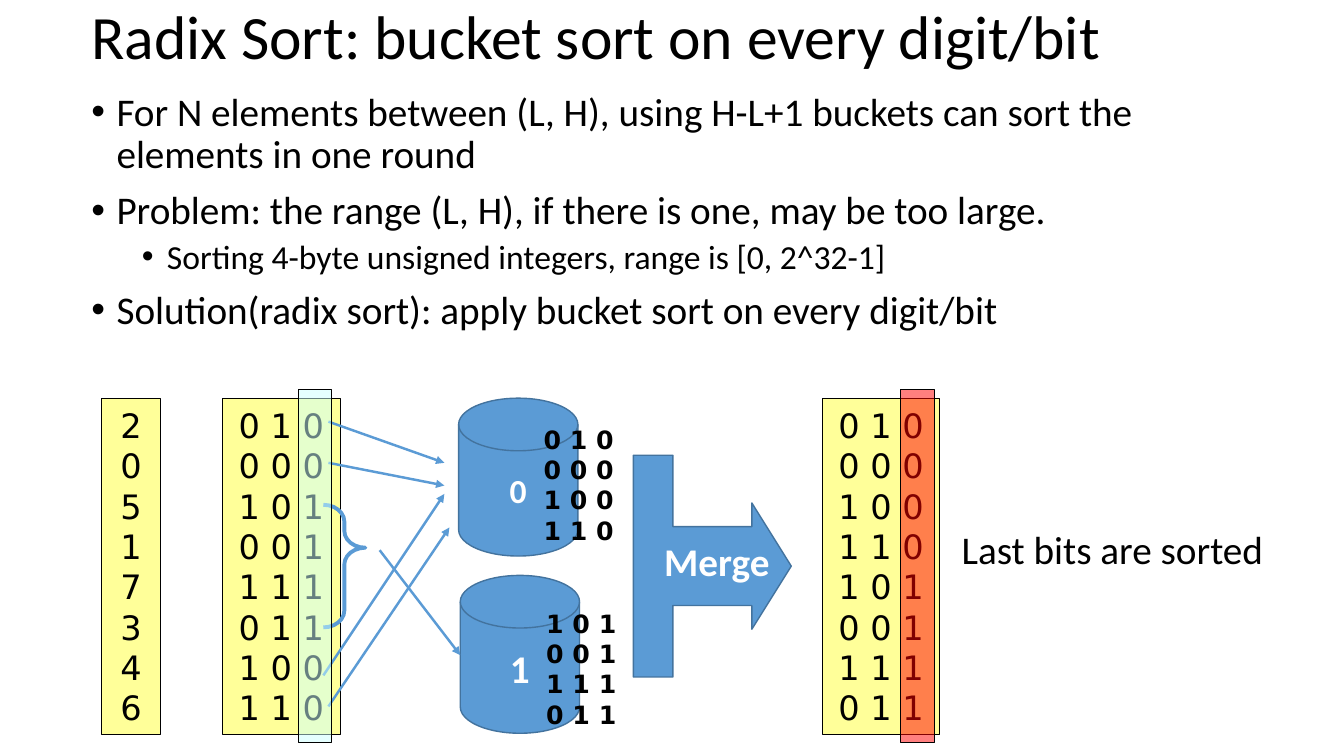
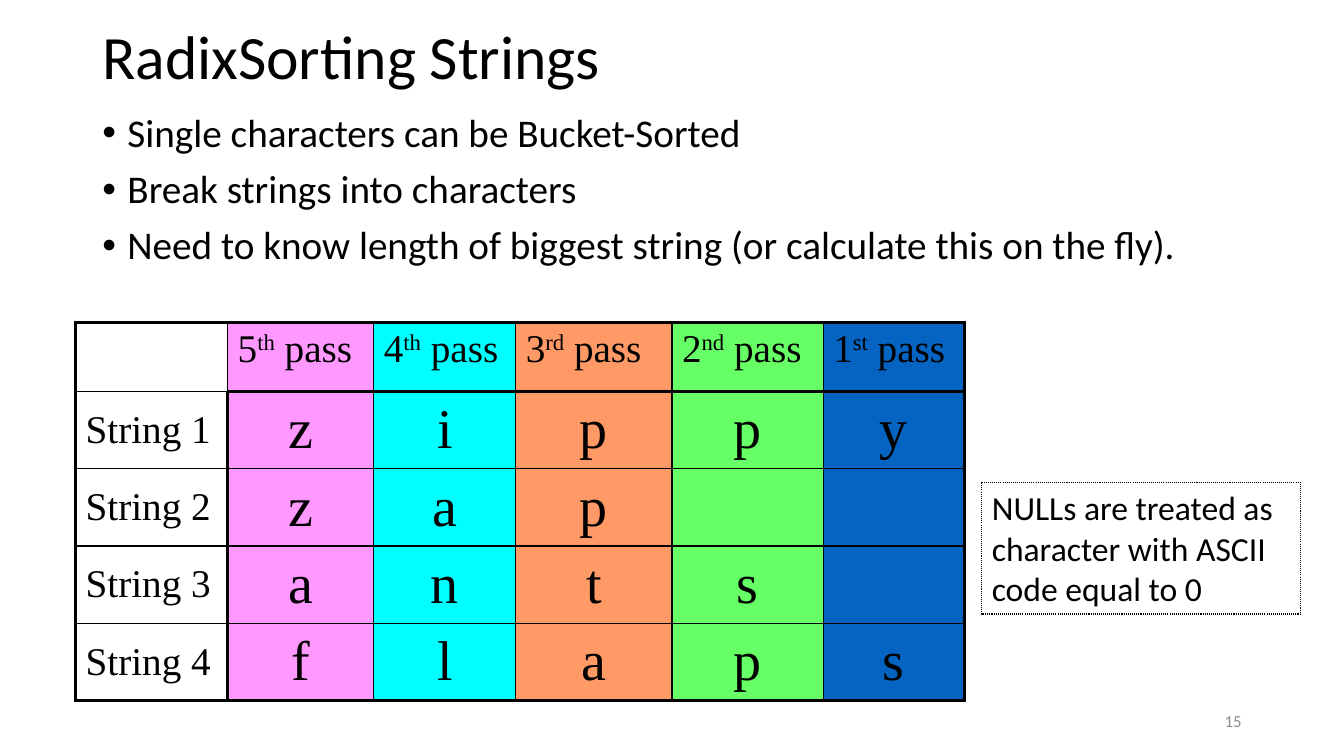
from lxml.etree import SubElement
from pptx import Presentation
from pptx.dml.color import RGBColor
from pptx.enum.dml import MSO_LINE
from pptx.enum.shapes import MSO_CONNECTOR, MSO_SHAPE
from pptx.enum.text import MSO_ANCHOR, PP_ALIGN
from pptx.oxml.ns import qn
from pptx.util import Inches, Pt

# Shared look: a grid of 160 columns by 90 rows on a 13.33 x 7.5 inch slide
COLS, ROWS = 160, 90
CELL = Inches(7.5) / ROWS
SANS, MONO, SERIF = "Calibri", "DejaVu Sans", "Times New Roman"
BLACK, WHITE, GREY = "000000", "FFFFFF", "8C8C8C"
BLUE, DARK_BLUE, YELLOW = "5B9BD5", "43739E", "FFFF99"
CENTER, RIGHT, MIDDLE = PP_ALIGN.CENTER, PP_ALIGN.RIGHT, MSO_ANCHOR.MIDDLE


def rgb(color):
    return RGBColor.from_string(color)


def grid(*cells):
    return [round(c * CELL) for c in cells]


def style(p, size, font=SANS, color=BLACK, bold=False, align=None):
    p.alignment = align
    for r in p.runs:
        r.font.size, r.font.name, r.font.bold = Pt(size), font, bold
        r.font.color.rgb = rgb(color)


def write(tf, text, size, anchor=MSO_ANCHOR.TOP, wrap=True, **look):
    tf.text, tf.word_wrap, tf.vertical_anchor = text, wrap, anchor
    for p in tf.paragraphs:
        style(p, size, **look)


def text_box(s, at, text, size, **look):
    sp = s.shapes.add_textbox(*grid(*at))
    write(sp.text_frame, text, size, **look)
    return sp


def shape(s, kind, at, fill=None, line=BLACK, width=0.75, alpha=None, adj=()):
    sp = s.shapes.add_shape(kind, *grid(*at))
    sp.shadow.inherit = False
    for i, value in enumerate(adj):
        sp.adjustments[i] = value
    if fill:
        sp.fill.solid()
        sp.fill.fore_color.rgb = rgb(fill)
    else:
        sp.fill.background()
    if alpha:
        clr = sp.fill._xPr.find(qn("a:solidFill"))[0]
        SubElement(clr, qn("a:alpha"), val=str(alpha * 1000))
    sp.line.color.rgb, sp.line.width = rgb(line), Pt(width)
    return sp


def arrow(s, start, end):
    c = s.shapes.add_connector(MSO_CONNECTOR.STRAIGHT, *grid(*start, *end))
    c.line.color.rgb, c.line.width = rgb(BLUE), Pt(1.75)
    SubElement(c.line._get_or_add_ln(), qn("a:tailEnd"), type="triangle")
    SubElement(c._element.spPr, qn("a:effectLst"))


def title(s, at, text):
    sp = text_box(s, at, text, 44, anchor=MIDDLE)
    sp.text_frame.paragraphs[0].line_spacing = 0.9


def bullets(s, at, items):
    """Each item is a (level, text) pair."""
    tf = text_box(s, at, "\n".join(text for _, text in items), 28).text_frame
    for i, (p, (level, _)) in enumerate(zip(tf.paragraphs, items)):
        pPr = p._p.get_or_add_pPr()
        pPr.set("marL", str(Inches(0.25 + 0.5 * level)))
        pPr.set("indent", str(Inches(-0.25)))
        SubElement(pPr, qn("a:buFont"), typeface="Arial")
        SubElement(pPr, qn("a:buChar"), char="•")
        p.level, p.line_spacing = level, 0.9
        p.space_before = Pt((5 if level else 10) if i else 0)
        style(p, 24 if level else 28)


# Radix sort diagram
def number_list(s, x, w, numbers):
    sp = shape(s, MSO_SHAPE.FLOWCHART_PROCESS, (x, 47.4, w, 40), YELLOW)
    write(sp.text_frame, "\n".join(numbers), 24, anchor=MIDDLE, wrap=False,
          font=MONO, align=CENTER)


def bit_strip(s, x, color):
    shape(s, MSO_SHAPE.RECTANGLE, (x, 46.4, 4, 42), color, alpha=50)


def bucket(s, x, y, digit, size):
    sp = shape(s, MSO_SHAPE.FLOWCHART_MAGNETIC_DISK, (x, y, 14.2, 18.8),
               BLUE, DARK_BLUE, 1)
    write(sp.text_frame, digit, size, anchor=MIDDLE, color=WHITE, bold=True,
          align=CENTER)


def radix_slide(s):
    title(s, (9.7, 0, 138, 9.5), "Radix Sort: bucket sort on every digit/bit")
    bullets(s, (9.7, 10.4, 141.6, 36), [
        (0, "For N elements between (L, H), using H-L+1 buckets can sort the "
            "elements in one round"),
        (0, "Problem: the range (L, H), if there is one, may be too large."),
        (1, "Sorting 4-byte unsigned integers, range is [0, 2^32-1]"),
        (0, "Solution(radix sort): apply bucket sort on every digit/bit")])

    # Numbers, their bits, and the bits ordered by the last one
    numbers = [2, 0, 5, 1, 7, 3, 4, 6]
    bits = [" ".join(f"{n:03b}") for n in numbers]
    merged = sorted(bits, key=lambda b: b[-1])
    number_list(s, 26.5, 14, bits)
    number_list(s, 12.1, 7, [str(n) for n in numbers])
    number_list(s, 97.9, 14, merged)
    bit_strip(s, 107.2, "FF0000")

    # Buckets and the way into them
    bucket(s, 54.6, 47.4, "0", 24)
    bucket(s, 54.8, 68.5, "1", 28)
    for start, end in [((39.1, 50.2), (52.9, 55.1)),
                       ((39.1, 55.1), (52.9, 57.8)),
                       ((38.5, 80.4), (52.9, 58.8)),
                       ((39.1, 84.1), (53.5, 62.8)),
                       ((45.2, 65.5), (54.8, 78))]:
        arrow(s, start, end)
    shape(s, MSO_SHAPE.RIGHT_BRACE, (38.5, 60.1, 5, 14.6), line=BLUE,
          width=2.75, adj=(0.4, 0.35))
    bit_strip(s, 35.5, "CCFFFF")
    for x, y, content in [(62, 49.9, merged[:4]), (62.3, 71.8, merged[4:])]:
        text_box(s, (x, y, 13.8, 15.7), "\n".join(content), 18, font=MONO,
                 bold=True, align=CENTER)

    # Merge step
    sp = shape(s, MSO_SHAPE.UP_ARROW_CALLOUT, (71.6, 58, 26.4, 18.8), BLUE,
               DARK_BLUE, 1, adj=(0.5, 0.4, 0.25, 0.25))
    sp.rotation = 90
    text_box(s, (77.9, 63.4, 15.4, 6.8), "Merge", 28, color=WHITE, bold=True)
    text_box(s, (113.3, 61.9, 38.8, 6.8), "Last bits are sorted", 28,
             wrap=False)


# Table of strings
def borders(cell, widths):
    """Widths are for the left, right, top and bottom edges."""
    tcPr = cell._tc.get_or_add_tcPr()
    for i, (edge, width) in enumerate(zip("LRTB", widths)):
        ln = tcPr.makeelement(qn(f"a:ln{edge}"), {"w": str(Pt(width))})
        SubElement(SubElement(ln, qn("a:solidFill")), qn("a:srgbClr"),
                   val=BLACK)
        tcPr.insert(i, ln)


def pass_heading(cell, number, suffix):
    p = cell.text_frame.paragraphs[0]
    for text in (number, suffix, " pass"):
        p.add_run().text = text
    style(p, 28, SERIF)
    p.runs[1]._r.get_or_add_rPr().set("baseline", "30000")


def string_table(s, x, y, words):
    passes = [("5", "th", "FF99FF"), ("4", "th", "00FFFF"),
              ("3", "rd", "FF9966"), ("2", "nd", "66FF66"),
              ("1", "st", "0563C1")]
    widths = grid(18.1, 17.4, 16.9, 18.6, 18, 16.8)
    heights = grid(8.2, *[8.6] * len(words))
    last_row, last_col = len(words), len(passes)
    t = s.shapes.add_table(last_row + 1, last_col + 1, *grid(x, y),
                           sum(widths), sum(heights)).table
    t.first_row = t.horz_banding = False
    for col, width in zip(t.columns, widths):
        col.width = width
    for row, height in zip(t.rows, heights):
        row.height = height

    def edge(thick):
        return 2.25 if thick else 1

    for i in range(last_row + 1):
        for j in range(last_col + 1):
            cell = t.cell(i, j)
            if j:
                number, suffix, color = passes[j - 1]
                cell.fill.solid()
                cell.fill.fore_color.rgb = rgb(color)
            else:
                cell.fill.background()
            if i:
                word = words[i - 1]
                text = word[j - 1:j] if j else f"String {i}"
                write(cell.text_frame, text, 40 if j else 28, font=SERIF,
                      align=CENTER if j else None)
                cell.vertical_anchor = MIDDLE
            elif j:
                pass_heading(cell, number, suffix)
            borders(cell, (edge(j == 0 or (j == 1 and i)),
                           edge(j == last_col or (j == 0 and i)),
                           edge(i == 0 or (i == 1 and j)),
                           edge(i == last_row or (i == 0 and j))))


def strings_slide(s):
    text_box(s, (113, 83.4, 36, 4.8), "15", 12, color=GREY, align=RIGHT,
             anchor=MIDDLE)
    title(s, (11, 1.1, 138, 11.9), "RadixSorting Strings")
    bullets(s, (11, 12.9, 138, 20.8), [
        (0, "Single characters can be Bucket-Sorted"),
        (0, "Break strings into characters"),
        (0, "Need to know length of biggest string (or calculate this on the "
            "fly).")])
    string_table(s, 9, 38.4, ["zippy", "zap", "ants", "flaps"])
    note = shape(s, MSO_SHAPE.RECTANGLE, (116.9, 57.4, 37.9, 15.7))
    note.line.dash_style = MSO_LINE.ROUND_DOT
    write(note.text_frame,
          "NULLs are treated as character with ASCII code equal to 0", 24)


def main():
    prs = Presentation()
    prs.slide_width, prs.slide_height = grid(COLS, ROWS)
    for build in (radix_slide, strings_slide):
        build(prs.slides.add_slide(prs.slide_layouts[6]))
    prs.save("out.pptx")


if __name__ == "__main__":
    main()
